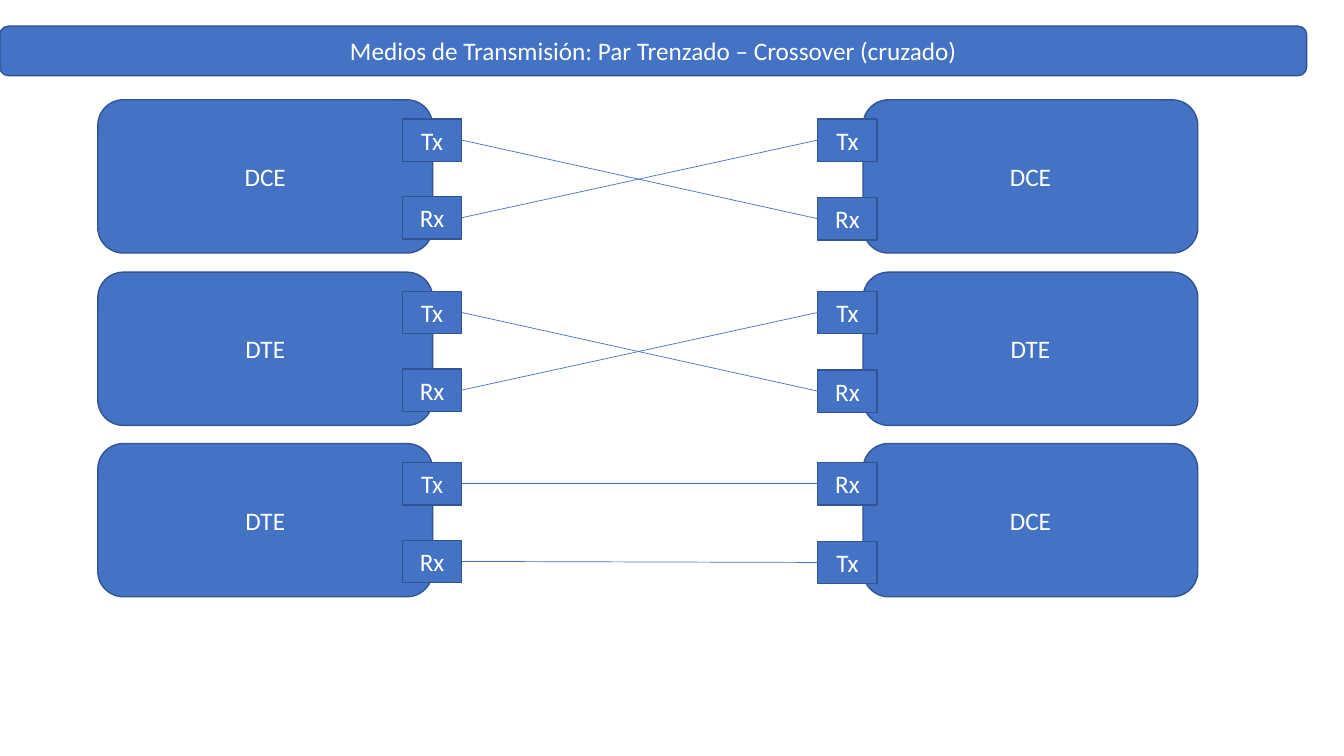
from dataclasses import dataclass

import pptx
import pptx.dml.color
import pptx.enum.shapes
import pptx.enum.text
import pptx.oxml
import pptx.oxml.ns
import pptx.util
from pptx.util import Inches

FILL = "4472C4"
OUTLINE = "325491"
TEXT = "FFFFFF"
ROUNDED = pptx.enum.shapes.MSO_SHAPE.ROUNDED_RECTANGLE
SQUARE = pptx.enum.shapes.MSO_SHAPE.RECTANGLE
RIGHT_SIDE, LEFT_SIDE = 3, 1
DEVICE_WIDTH, DEVICE_HEIGHT = 3.32, 1.52
PORT_WIDTH, PORT_HEIGHT = 0.59, 0.42


@dataclass(frozen=True)
class Side:
    device_left: float
    port_left: float
    port_drops: tuple[float, float]


@dataclass(frozen=True)
class Device:
    name: str
    ports: tuple[str, str]


@dataclass(frozen=True)
class Link:
    top: float
    left: Device
    right: Device


LEFT = Side(0.97, 3.99, (0.19, 0.96))
RIGHT = Side(8.56, 8.11, (0.19, 0.97))
LINKS = (
    Link(0.99, Device("DCE", ("Tx", "Rx")), Device("DCE", ("Tx", "Rx"))),
    Link(2.7, Device("DTE", ("Tx", "Rx")), Device("DTE", ("Tx", "Rx"))),
    Link(4.4, Device("DTE", ("Tx", "Rx")), Device("DCE", ("Rx", "Tx"))),
)


def color(value: str) -> pptx.dml.color.RGBColor:
    return pptx.dml.color.RGBColor.from_string(value)


def add_box(page, kind, left: float, top: float, width: float, height: float, text: str):
    box = page.shapes.add_shape(kind, Inches(left), Inches(top), Inches(width), Inches(height))
    box.shadow.inherit = False
    box.fill.solid()
    box.fill.fore_color.rgb = color(FILL)
    box.line.color.rgb = color(OUTLINE)
    box.line.width = pptx.util.Pt(1)
    frame = box.text_frame
    frame.word_wrap = True
    frame.vertical_anchor = pptx.enum.text.MSO_ANCHOR.MIDDLE
    para = frame.paragraphs[0]
    para.text = text
    para.alignment = pptx.enum.text.PP_ALIGN.CENTER
    para.font.name = "Calibri"
    para.font.size = pptx.util.Pt(18)
    para.font.color.rgb = color(TEXT)
    return box


def add_device(page, device: Device, side: Side, top: float) -> dict:
    add_box(page, ROUNDED, side.device_left, top, DEVICE_WIDTH, DEVICE_HEIGHT, device.name)
    return {
        port: add_box(page, SQUARE, side.port_left, top + drop, PORT_WIDTH, PORT_HEIGHT, port)
        for port, drop in zip(device.ports, side.port_drops)
    }


def add_wire(page, start, end) -> None:
    wire = page.shapes.add_connector(pptx.enum.shapes.MSO_CONNECTOR.STRAIGHT, 0, 0, 0, 0)
    wire.begin_connect(start, RIGHT_SIDE)
    wire.end_connect(end, LEFT_SIDE)
    wire.line.color.rgb = color(FILL)
    wire.line.width = pptx.util.Pt(0.5)
    properties = wire._element.spPr
    properties.append(pptx.oxml.parse_xml(f"<a:effectLst {pptx.oxml.ns.nsdecls('a')}/>"))


def add_link(page, link: Link) -> None:
    left_ports = add_device(page, link.left, LEFT, link.top)
    right_ports = add_device(page, link.right, RIGHT, link.top)
    add_wire(page, left_ports["Rx"], right_ports["Tx"])
    add_wire(page, left_ports["Tx"], right_ports["Rx"])


def main() -> None:
    deck = pptx.Presentation()
    deck.slide_width = Inches(13.33)
    deck.slide_height = Inches(7.5)
    page = deck.slides.add_slide(deck.slide_layouts[6])
    title = "Medios de Transmisión: Par Trenzado – Crossover (cruzado)"
    add_box(page, ROUNDED, 0, 0.26, 12.96, 0.49, title)
    for link in LINKS:
        add_link(page, link)
    deck.save("out.pptx")


if __name__ == "__main__":
    main()
